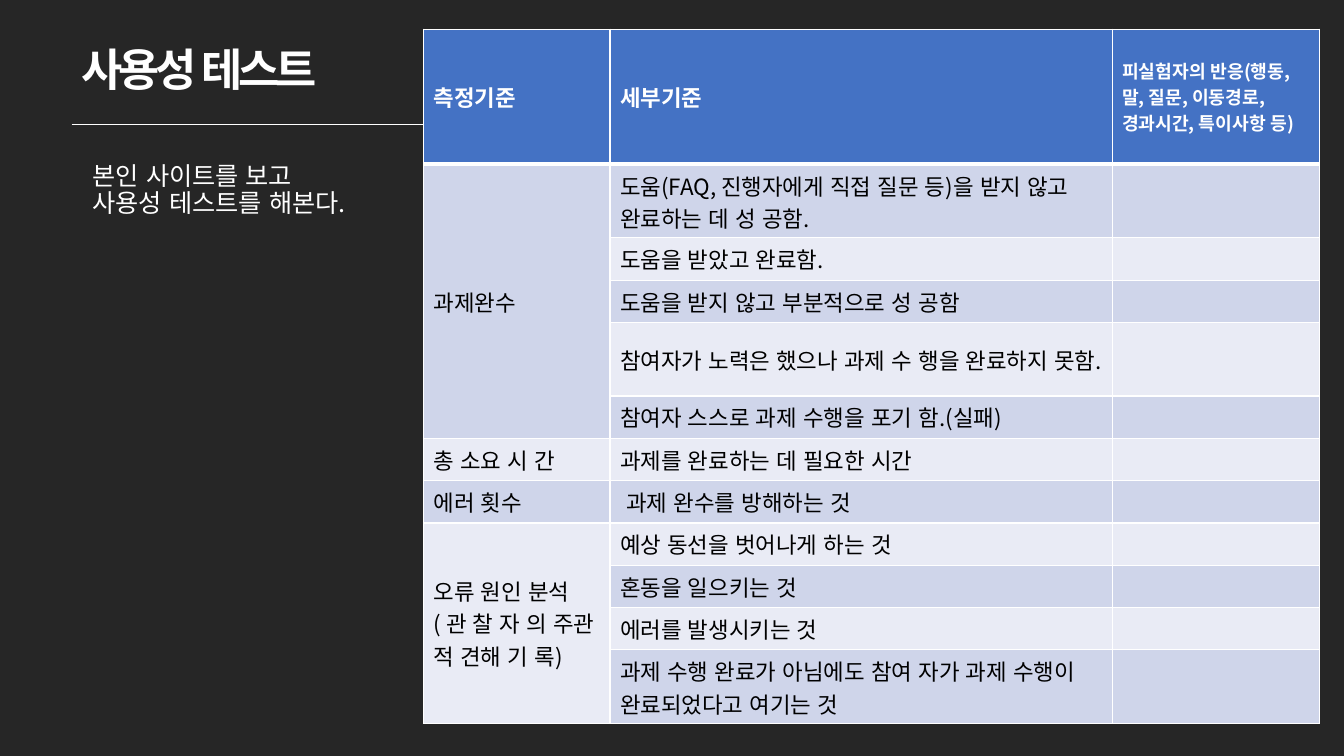
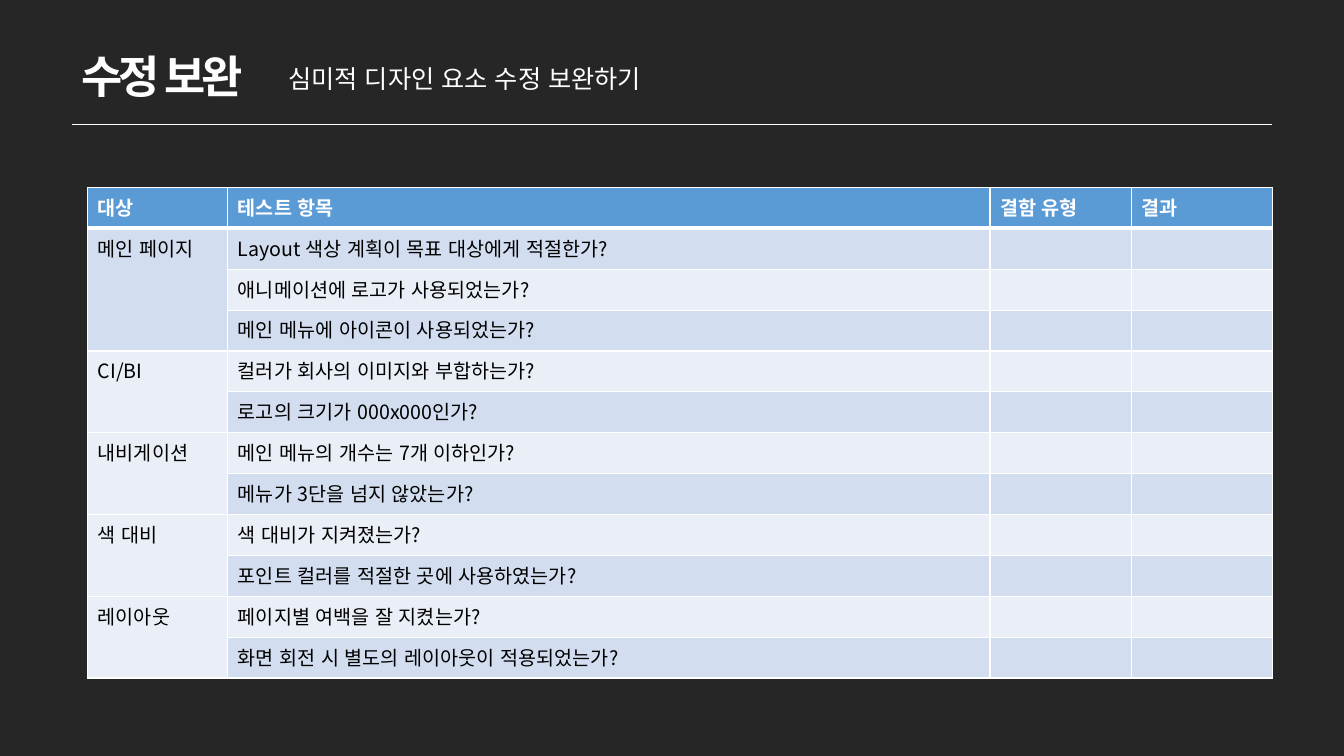
from dataclasses import dataclass

import pptx
import pptx.dml.color
import pptx.enum.shapes
import pptx.enum.text
import pptx.oxml.ns
import pptx.util
from lxml import etree
from pptx.util import Inches

FONT = "Noto Sans CJK KR"
COLORS = {
    "background": "262626",
    "light": "FFFFFF",
    "dark": "000000",
    "test_header": "4472C4",
    "test_odd": "CFD5EA",
    "test_even": "E9EBF5",
    "review_header": "5B9BD5",
    "review_odd": "D2DEEF",
    "review_even": "EAEFF7",
}
TITLE_LAYOUT = 5
MIDDLE = pptx.enum.text.MSO_ANCHOR.MIDDLE
TOP = pptx.enum.text.MSO_ANCHOR.TOP


@dataclass
class Heading:
    text: str
    size: int


@dataclass
class Group:
    name: str
    items: list[str]


@dataclass
class Checklist:
    palette: str
    left: float
    top: float
    widths: list[float]
    heights: list[float]
    size: int
    anchor: pptx.enum.text.MSO_ANCHOR
    headings: list[Heading]
    groups: list[Group]


USABILITY = Checklist(
    "test", 4.2, 0.29, [1.85, 4.98, 2.06],
    [1.34, 0.73, 0.42, 0.42, 0.73] + [0.42] * 6 + [0.73], 16, MIDDLE,
    [
        Heading("측정기준", 16),
        Heading("세부기준", 16),
        Heading("피실험자의 반응(행동, 말, 질문, 이동경로, 경과시간, 특이사항 등)", 13),
    ],
    [
        Group("과제완수", [
            "도움(FAQ, 진행자에게 직접 질문 등)을 받지 않고 완료하는 데 성 공함.",
            "도움을 받았고 완료함.",
            "도움을 받지 않고 부분적으로 성 공함",
            "참여자가 노력은 했으나 과제 수 행을 완료하지 못함.",
            "참여자 스스로 과제 수행을 포기 함.(실패)",
        ]),
        Group("총 소요 시 간", ["과제를 완료하는 데 필요한 시간"]),
        Group("에러 횟수", [" 과제 완수를 방해하는 것"]),
        Group("오류 원인 분석 ( 관 찰 자 의 주관 적 견해 기 록)", [
            "예상 동선을 벗어나게 하는 것",
            "혼동을 일으키는 것",
            "에러를 발생시키는 것",
            "과제 수행 완료가 아님에도 참여 자가 과제 수행이 완료되었다고 여기는 것",
        ]),
    ],
)

REVIEW = Checklist(
    "review", 0.87, 1.86, [1.39, 7.56, 1.4, 1.4], [4.87 / 12] * 12, 14, TOP,
    [Heading(text, 14) for text in ("대상", "테스트 항목", "결함 유형", "결과")],
    [
        Group("메인 페이지", [
            "Layout 색상 계획이 목표 대상에게 적절한가?",
            "애니메이션에 로고가 사용되었는가?",
            "메인 메뉴에 아이콘이 사용되었는가?",
        ]),
        Group("CI/BI", ["컬러가 회사의 이미지와 부합하는가?", "로고의 크기가 000x000인가?"]),
        Group("내비게이션", ["메인 메뉴의 개수는 7개 이하인가?", "메뉴가 3단을 넘지 않았는가?"]),
        Group("색 대비", ["색 대비가 지켜졌는가?", "포인트 컬러를 적절한 곳에 사용하였는가?"]),
        Group("레이아웃", [
            "페이지별 여백을 잘 지켰는가?",
            "화면 회전 시 별도의 레이아웃이 적용되었는가?",
        ]),
    ],
)


def rgb(name: str) -> pptx.dml.color.RGBColor:
    return pptx.dml.color.RGBColor.from_string(COLORS[name])


def add_element(parent, tag: str, **attributes: str):
    return etree.SubElement(parent, pptx.oxml.ns.qn(tag), attributes)


def write(frame, text: str, *, size: int, color: str = "light", bold: bool = False,
          tracking: int = 0, line_spacing: float | None = None) -> None:
    for index, line in enumerate(text.split("\n")):
        paragraph = frame.add_paragraph() if index else frame.paragraphs[0]
        paragraph.alignment = pptx.enum.text.PP_ALIGN.LEFT
        if line_spacing:
            paragraph.line_spacing = line_spacing
        if not line:
            add_element(paragraph._p, "a:endParaRPr", sz=str(size * 100))
            continue
        run = paragraph.add_run()
        run.text = line
        run.font.size = pptx.util.Pt(size)
        run.font.bold = bold
        run.font.color.rgb = rgb(color)
        run.font.name = FONT
        properties = run._r.get_or_add_rPr()
        properties.set("lang", "ko-KR")
        properties.set("kern", "0")
        add_element(properties, "a:ea", typeface=FONT)
        if tracking:
            properties.set("spc", str(tracking * 100))


def add_caption(slide, text: str, left: float, top: float, width: float, height: float,
                line_spacing: float | None = None) -> None:
    caption = slide.shapes.add_textbox(Inches(left), Inches(top), Inches(width), Inches(height))
    caption.text_frame.word_wrap = True
    caption.text_frame.vertical_anchor = MIDDLE
    write(caption.text_frame, text, size=18, line_spacing=line_spacing)


def add_rule(slide) -> None:
    rule = slide.shapes.add_connector(
        pptx.enum.shapes.MSO_CONNECTOR.STRAIGHT,
        Inches(0.71), Inches(1.23), Inches(12.62), Inches(1.23))
    rule.line.color.rgb = rgb("light")
    rule.line.width = pptx.util.Pt(0.5)
    add_element(rule._element.spPr, "a:effectLst")


def add_titled_slide(deck, heading: str, top: float):
    slide = deck.slides.add_slide(deck.slide_layouts[TITLE_LAYOUT])
    slide.background.fill.solid()
    slide.background.fill.fore_color.rgb = rgb("background")
    title = slide.shapes.title
    title.left, title.top = Inches(0.71), Inches(top)
    title.width, title.height = Inches(12.06), Inches(0.64)
    title.text_frame.auto_size = pptx.enum.text.MSO_AUTO_SIZE.NONE
    title.text_frame.vertical_anchor = MIDDLE
    write(title.text_frame, heading, size=32, bold=True, tracking=-3)
    add_rule(slide)
    return slide


def format_cell(cell, text: str, checklist: Checklist, row: int, size: int) -> None:
    is_heading = row == 0
    properties = cell._tc.get_or_add_tcPr()
    for side in ("L", "R", "T", "B"):
        points = 3 if (is_heading and side == "B") or (row == 1 and side == "T") else 1
        border = add_element(properties, f"a:ln{side}", w=str(pptx.util.Pt(points)))
        paint = add_element(border, "a:solidFill")
        add_element(paint, "a:srgbClr", val=COLORS["light"])
    band = "header" if is_heading else "odd" if row % 2 else "even"
    cell.fill.solid()
    cell.fill.fore_color.rgb = rgb(f"{checklist.palette}_{band}")
    cell.vertical_anchor = checklist.anchor
    write(cell.text_frame, text, size=size, bold=is_heading,
          color="light" if is_heading else "dark")


def add_checklist(slide, checklist: Checklist) -> None:
    widths, heights = checklist.widths, checklist.heights
    table = slide.shapes.add_table(
        len(heights), len(widths), Inches(checklist.left), Inches(checklist.top),
        Inches(sum(widths)), Inches(sum(heights))).table
    table.first_row = table.horz_banding = False
    for column, width in zip(table.columns, widths):
        column.width = Inches(width)
    for table_row, height in zip(table.rows, heights):
        table_row.height = Inches(height)

    for column, heading in enumerate(checklist.headings):
        format_cell(table.cell(0, column), heading.text, checklist, 0, heading.size)
    blanks = [""] * (len(widths) - 2)
    row = 1
    for group in checklist.groups:
        if len(group.items) > 1:
            table.cell(row, 0).merge(table.cell(row + len(group.items) - 1, 0))
        for index, item in enumerate(group.items):
            texts = ["" if index else group.name, item, *blanks]
            for column, text in enumerate(texts):
                format_cell(table.cell(row, column), text, checklist, row, checklist.size)
            row += 1


def main() -> None:
    deck = pptx.Presentation()
    deck.slide_width, deck.slide_height = Inches(13.33), Inches(7.5)

    usability = add_titled_slide(deck, "사용성 테스트", 0.36)
    add_caption(usability, "본인 사이트를 보고\n사용성 테스트를 해본다.", 0.82, 1.54, 2.96, 0.71,
                line_spacing=0.9)
    add_checklist(usability, USABILITY)

    review = add_titled_slide(deck, "수정 보완", 0.43)
    add_caption(review, "심미적 디자인 요소 수정 보완하기", 2.76, 0.58, 4.09, 0.4)
    add_checklist(review, REVIEW)

    deck.save("out.pptx")


if __name__ == "__main__":
    main()
